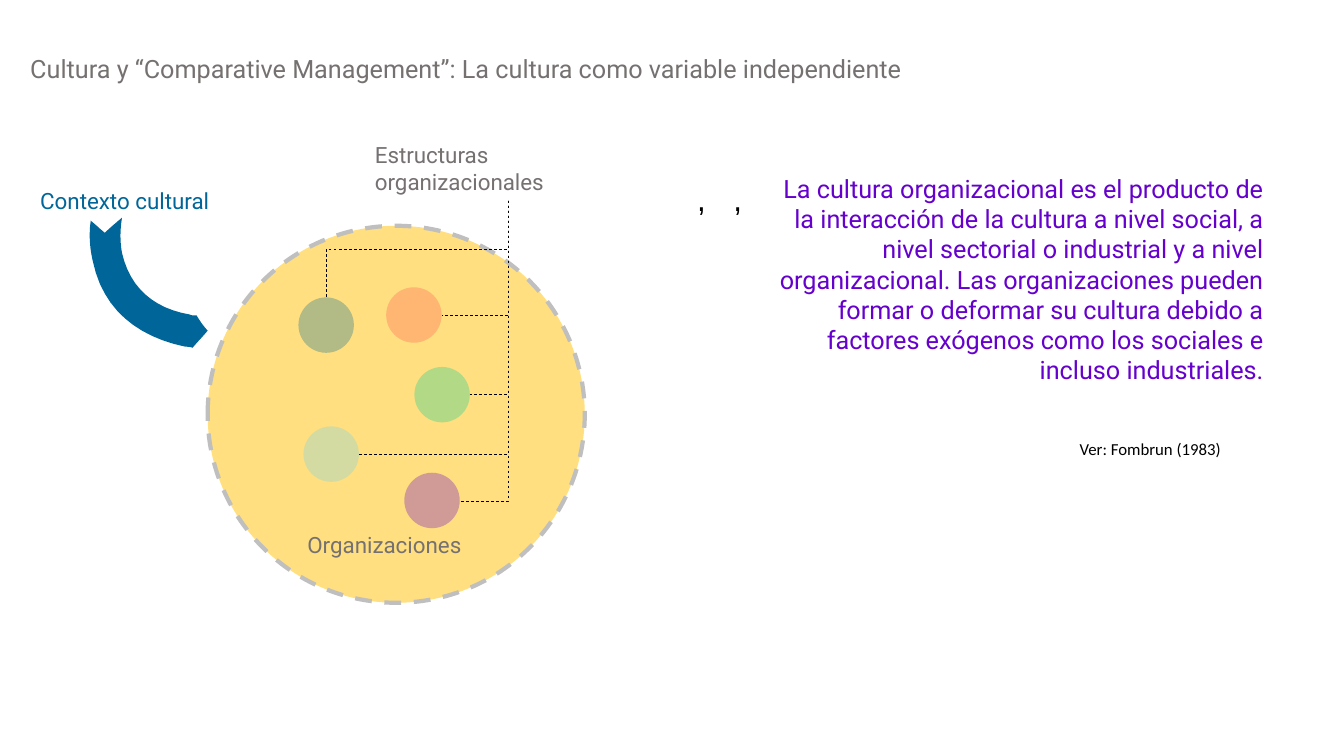
from dataclasses import dataclass

import pptx
import pptx.dml.color
import pptx.enum.dml
import pptx.enum.shapes
import pptx.enum.text
import pptx.oxml.ns
import pptx.oxml.xmlchemy
import pptx.util
from pptx.util import Inches

COLORS = {
    "gray": "767171",
    "blue": "006699",
    "purple": "6600CC",
    "black": "000000",
    "gold": "FFC000",
    "silver": "BFBFBF",
    "coral": "FC5A56",
    "green": "00CC99",
    "sky": "6ED2F6",
}
ALIGN = pptx.enum.text.PP_ALIGN
AUTO_SIZE = pptx.enum.text.MSO_AUTO_SIZE
SHAPE = pptx.enum.shapes.MSO_SHAPE
DASH = pptx.enum.dml.MSO_LINE.DASH
ORGANIZATION_SIZE = 0.55
STRUCTURE_START = (5.04, 1.99)

Point = tuple[float, float]


@dataclass
class Label:
    text: str
    box: tuple[float, float, float, float]
    size: int
    color: str
    font: str = "Roboto"
    align: ALIGN = ALIGN.LEFT
    wrap: bool = True
    bold: bool = False
    auto_size: AUTO_SIZE = AUTO_SIZE.SHAPE_TO_FIT_TEXT


@dataclass
class Organization:
    left: float
    top: float
    color: str
    link_end: Point
    link_kind: str = "bentConnector2"


TITLE = Label("Cultura y “Comparative Management”: La cultura como variable independiente",
              (0.2, 0.48, 12.81, 0.4), 18, "gray")
LABELS = [
    Label("Organizaciones", (2.95, 5.22, 1.75, 0.37), 16, "gray", wrap=False),
    Label("Contexto cultural", (0.3, 1.81, 1.91, 0.37), 16, "blue", wrap=False),
    Label("Estructuras organizacionales", (3.62, 1.35, 2.84, 0.64), 16, "gray"),
    Label("La cultura organizacional es el producto de la interacción de la cultura a nivel "
          "social, a nivel sectorial o industrial y a nivel organizacional. Las organizaciones "
          "pueden formar o deformar su cultura debido a factores exógenos como los sociales e "
          "incluso industriales.",
          (7.57, 1.67, 5.06, 2.22), 18, "purple", align=ALIGN.RIGHT),
    *(Label(",", (left, 1.8, 0.23, 0.57), 18, "black", "Arial Narrow", ALIGN.CENTER,
            bold=True, auto_size=AUTO_SIZE.NONE) for left in (6.83, 7.19)),
    Label("Ver: Fombrun (1983)", (10.61, 4.3, 1.66, 0.3), 12, "black", "Calibri", wrap=False),
]
ORGANIZATIONS = [
    Organization(2.96, 2.95, "blue", (3.24, 2.95), "bentConnector3"),
    Organization(3.83, 2.85, "coral", (4.38, 3.13)),
    Organization(4.11, 3.64, "green", (4.66, 3.91)),
    Organization(3.01, 4.23, "sky", (3.56, 4.51)),
    Organization(4.01, 4.69, "purple", (4.56, 4.97)),
]
ARROW_START = (1.91, 3.45)
ARROW_CURVES = [
    ((1.96, 3.39), (2.01, 3.34), (2.06, 3.28)),
    ((2.02, 3.24), (1.98, 3.18), (1.95, 3.13)),
    ((1.92, 3.13), (1.9, 3.13), (1.88, 3.12)),
    ((1.53, 3.06), (1.29, 2.86), (1.21, 2.51)),
    ((1.19, 2.4), (1.19, 2.28), (1.21, 2.16)),
    ((1.15, 2.21), (1.09, 2.26), (1.04, 2.31)),
    ((0.99, 2.27), (0.95, 2.23), (0.9, 2.19)),
    ((0.88, 2.32), (0.89, 2.46), (0.92, 2.59)),
    ((1.02, 3.07), (1.36, 3.34), (1.84, 3.44)),
    ((1.86, 3.44), (1.88, 3.44), (1.91, 3.45)),
]


def rgb(name: str) -> pptx.dml.color.RGBColor:
    return pptx.dml.color.RGBColor.from_string(COLORS[name])


def apply(target: object, values: dict[str, object]) -> None:
    for name, value in values.items():
        setattr(target, name, value)


def write_label(shape, label: Label) -> None:
    left, top, width, height = map(Inches, label.box)
    frame = shape.text_frame
    frame.text = label.text
    paragraph = frame.paragraphs[0]
    font = paragraph.runs[0].font
    apply(frame, {"word_wrap": label.wrap, "auto_size": label.auto_size,
                  "vertical_anchor": pptx.enum.text.MSO_ANCHOR.TOP})
    apply(paragraph, {"alignment": label.align, "line_spacing": 1.0,
                      "space_before": pptx.util.Pt(0)})
    apply(font, {"name": label.font, "size": pptx.util.Pt(label.size), "bold": label.bold})
    font.color.rgb = rgb(label.color)
    apply(shape, {"left": left, "top": top, "width": width, "height": height})


def fill_shape(shape, color: str, opacity: int = 100) -> None:
    shape.shadow.inherit = False
    shape.fill.solid()
    shape.fill.fore_color.rgb = rgb(color)
    shape.line.fill.background()
    if opacity < 100:
        solid_fill = shape._element.spPr.find(pptx.oxml.ns.qn("a:solidFill"))
        alpha = pptx.oxml.xmlchemy.OxmlElement("a:alpha")
        alpha.set("val", str(opacity * 1000))
        solid_fill.find(pptx.oxml.ns.qn("a:srgbClr")).append(alpha)


def style_line(line, color: str, width: float) -> None:
    line.color.rgb = rgb(color)
    apply(line, {"width": pptx.util.Pt(width), "dash_style": DASH})


def add_circle(slide, left: float, top: float, size: float, color: str, opacity: int):
    circle = slide.shapes.add_shape(SHAPE.OVAL, *map(Inches, (left, top, size, size)))
    fill_shape(circle, color, opacity)
    return circle


def add_structure_link(slide, start: Point, end: Point, kind: str) -> None:
    width, height = end[1] - start[1], start[0] - end[0]
    left = (start[0] + end[0] - width) / 2
    top = (start[1] + end[1] - height) / 2
    connector = slide.shapes.add_connector(
        pptx.enum.shapes.MSO_CONNECTOR.ELBOW,
        *map(Inches, (left, top, left + width, top + height)))
    style_line(connector.line, "black", 0.5)
    properties = connector._element.spPr
    properties.find(pptx.oxml.ns.qn("a:xfrm")).set("rot", "5400000")
    properties.find(pptx.oxml.ns.qn("a:prstGeom")).set("prst", kind)
    properties.append(pptx.oxml.xmlchemy.OxmlElement("a:effectLst"))


def curve_points(start: Point, curve: tuple[Point, Point, Point], steps: int = 12) -> list[Point]:
    points = []
    for step in range(1, steps + 1):
        t = step / steps
        weights = ((1 - t) ** 3, 3 * t * (1 - t) ** 2, 3 * t ** 2 * (1 - t), t ** 3)
        x, y = (sum(weight * point[axis] for weight, point in zip(weights, (start, *curve)))
                for axis in (0, 1))
        points.append((x, y))
    return points


def add_context_arrow(slide) -> None:
    outline = [ARROW_START]
    for curve in ARROW_CURVES:
        outline += curve_points(outline[-1], curve)
    scaled = [(Inches(x), Inches(y)) for x, y in outline]
    builder = slide.shapes.build_freeform(*scaled[0])
    builder.add_line_segments(scaled[1:], close=True)
    fill_shape(builder.convert_to_shape(), "blue")


def main() -> None:
    presentation = pptx.Presentation()
    apply(presentation, {"slide_width": Inches(13.33), "slide_height": Inches(7.5)})
    slide = presentation.slides.add_slide(presentation.slide_layouts.get_by_name("Title Only"))
    write_label(slide.shapes.title, TITLE)

    culture = add_circle(slide, 2.06, 2.24, 3.74, "gold", 50)
    style_line(culture.line, "silver", 3)
    for organization in ORGANIZATIONS:
        add_circle(slide, organization.left, organization.top, ORGANIZATION_SIZE,
                   organization.color, 30)
    add_context_arrow(slide)
    for organization in ORGANIZATIONS:
        add_structure_link(slide, STRUCTURE_START, organization.link_end, organization.link_kind)
    for label in LABELS:
        write_label(slide.shapes.add_textbox(*map(Inches, label.box)), label)

    presentation.save("out.pptx")


if __name__ == "__main__":
    main()
